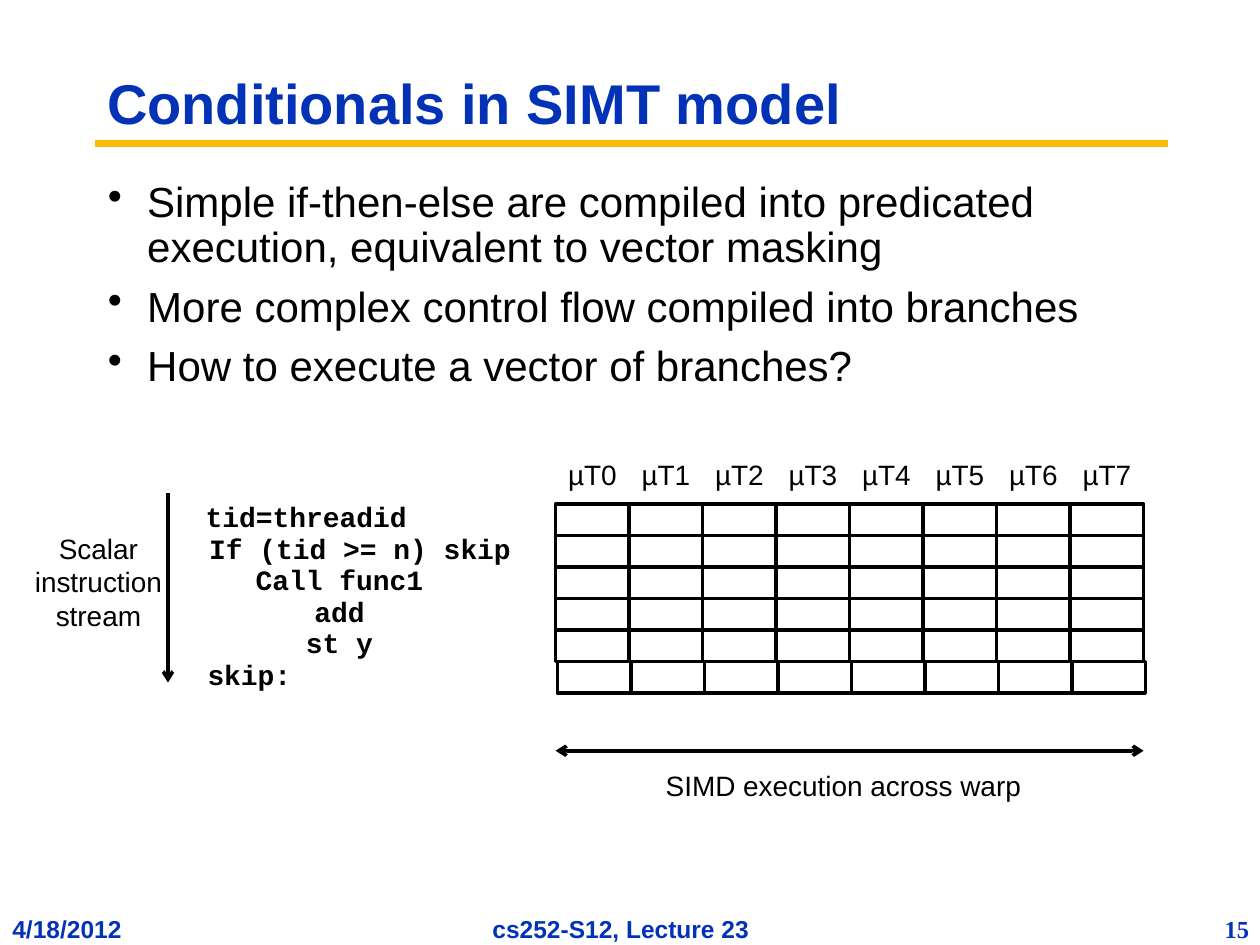
import pptx
import pptx.util
import pptx.dml.color
import pptx.enum.shapes
import pptx.enum.text
import pptx.oxml
import pptx.oxml.ns

Pt = pptx.util.Pt
ALIGN = pptx.enum.text.PP_ALIGN
ANCHOR = pptx.enum.text.MSO_ANCHOR
BLUE, GOLD, BLACK, WHITE = "0332B7", "FBBA03", "000000", "FFFFFF"


def color(value):
    """Turn a hex string into a colour."""
    return pptx.dml.color.RGBColor.from_string(value)


def add_xml(parent, tag, **attrs):
    """Append a DrawingML element with attributes."""
    el = pptx.oxml.parse_xml("<a:%s %s/>" % (tag, pptx.oxml.ns.nsdecls("a")))
    for name, value in attrs.items():
        el.set(name, value)
    parent.append(el)


class Painter:
    """Holds the style and the current slide."""

    font, mono, serif = "Arial", "Courier New", "Times New Roman"

    def __init__(self, slide):
        """Keep the slide to draw on."""
        self.slide = slide

    def fill_text(self, s, lines, align=ALIGN.LEFT, wrap=True,
                  anchor=ANCHOR.TOP, ink=BLACK, para=None, **font):
        """Fill a shape with formatted paragraphs."""
        tf = s.text_frame
        frame = {"word_wrap": wrap, "vertical_anchor": anchor,
                 "auto_size": pptx.enum.text.MSO_AUTO_SIZE.NONE}
        for name, value in frame.items():
            setattr(tf, name, value)
        style = {"name": self.font, "size": Pt(16), "bold": False, **font}
        for i, line in enumerate(lines):
            p = tf.paragraphs[0] if i == 0 else tf.add_paragraph()
            for name, value in {"alignment": align, **(para or {})}.items():
                setattr(p, name, value)
            r = p.add_run()
            r.text = line
            r.font.color.rgb = color(ink)
            for name, value in style.items():
                setattr(r.font, name, value)

    def title(self, text, x, y, w, h):
        """Place and format the title placeholder."""
        s = self.slide.shapes.title
        for name, value in {"left": x, "top": y, "width": w, "height": h}.items():
            setattr(s, name, Pt(value))
        self.fill_text(s, [text], anchor=ANCHOR.MIDDLE, ink=BLUE, size=Pt(32),
                       bold=True, para={"line_spacing": 0.9})

    def text(self, lines, x, y, w, h, **style):
        """Add a text box."""
        s = self.slide.shapes.add_textbox(Pt(x), Pt(y), Pt(w), Pt(h))
        self.fill_text(s, lines, **style)
        return s

    def bullets(self, lines, x, y, w, h):
        """Add a bulleted list with hanging indents."""
        s = self.text(lines, x, y, w, h, size=Pt(24),
                      para={"line_spacing": 0.9, "space_before": Pt(8)})
        for p in s.text_frame.paragraphs:
            pPr = p._p.get_or_add_pPr()
            pPr.set("marL", str(Pt(22.5)))
            pPr.set("indent", str(-Pt(22.5)))
            add_xml(pPr, "buChar", char="\u2022")

    def cell(self, x, y, w, h):
        """Add one outlined grid cell."""
        s = self.slide.shapes.add_shape(
            pptx.enum.shapes.MSO_SHAPE.RECTANGLE, Pt(x), Pt(y), Pt(w), Pt(h))
        s.shadow.inherit = False
        s.fill.solid()
        s.fill.fore_color.rgb = color(WHITE)
        s.line.color.rgb = color(BLACK)
        s.line.width = Pt(2)

    def line(self, x1, y1, x2, y2, ink=BLACK, width=2, ends=()):
        """Add a straight line with optional arrowheads."""
        s = self.slide.shapes.add_connector(
            pptx.enum.shapes.MSO_CONNECTOR.STRAIGHT,
            Pt(x1), Pt(y1), Pt(x2), Pt(y2))
        s.line.color.rgb = color(ink)
        s.line.width = Pt(width)
        for end in ends:
            add_xml(s.line._get_or_add_ln(), end, type="arrow")
        add_xml(s._element.spPr, "effectLst")


prs = pptx.Presentation()
prs.slide_width, prs.slide_height = Pt(720), Pt(540)
paint = Painter(prs.slides.add_slide(prs.slide_layouts[5]))

# Heading, footer and bullets
footer = {"ink": BLUE, "size": Pt(14), "bold": True}
paint.text(["4/18/2012"], 0, 518.5, 155, 24.5, **footer)
paint.text(["15"], 566, 518.5, 155, 24.5, align=ALIGN.RIGHT,
           name=paint.serif, **footer)
paint.text(["cs252-S12, Lecture 23"], 234.5, 518.5, 240.5, 24.5,
           align=ALIGN.CENTER, **footer)
paint.line(54.5, 82, 667.5, 82, ink=GOLD, width=3.75)
paint.title("Conditionals in SIMT model", 54, 31.5, 574.5, 58.5)
paint.bullets([
    "Simple if-then-else are compiled into predicated execution, "
    "equivalent to vector masking",
    "More complex control flow compiled into branches",
    "How to execute a vector of branches?"], 54.5, 100, 605, 146)

# Thread grid beside the code, one row per instruction
GRID_X, GRID_Y, CELL_W, CELL_H, THREADS = 317.5, 288, 42, 18, 8
code = [("tid=threadid", 109.5, 131), ("If (tid >= n) skip", 111, 189.5),
        ("Call func1", 138, 112), ("add", 172, 44), ("st y", 167, 54),
        ("skip:", 111, 63)]
for col in range(THREADS):
    paint.text(["\u00b5T%d" % col], GRID_X + col * CELL_W, 258, CELL_W, 26.5,
               align=ALIGN.CENTER, wrap=False)
for row, (text, x, w) in enumerate(code):
    y = GRID_Y + row * CELL_H
    shift = 1 if row == len(code) - 1 else 0
    for col in range(THREADS):
        paint.cell(GRID_X + shift + col * CELL_W, y, CELL_W, CELL_H)
    paint.text([text], x, y - 6, w, 26.5, align=ALIGN.CENTER, wrap=False,
               name=paint.mono, bold=True)

# Axis arrows and their captions
paint.line(96, 282, 96, 390, ends=["tailEnd"])
paint.text(["Scalar instruction stream"], 6, 300, 100.5, 65.5,
           align=ALIGN.CENTER)
paint.line(GRID_X, 429, GRID_X + THREADS * CELL_W, 429,
           ends=["headEnd", "tailEnd"])
paint.text(["SIMD execution across warp"], 323, 435.5, 318, 26.5,
           align=ALIGN.CENTER)

prs.save("out.pptx")
